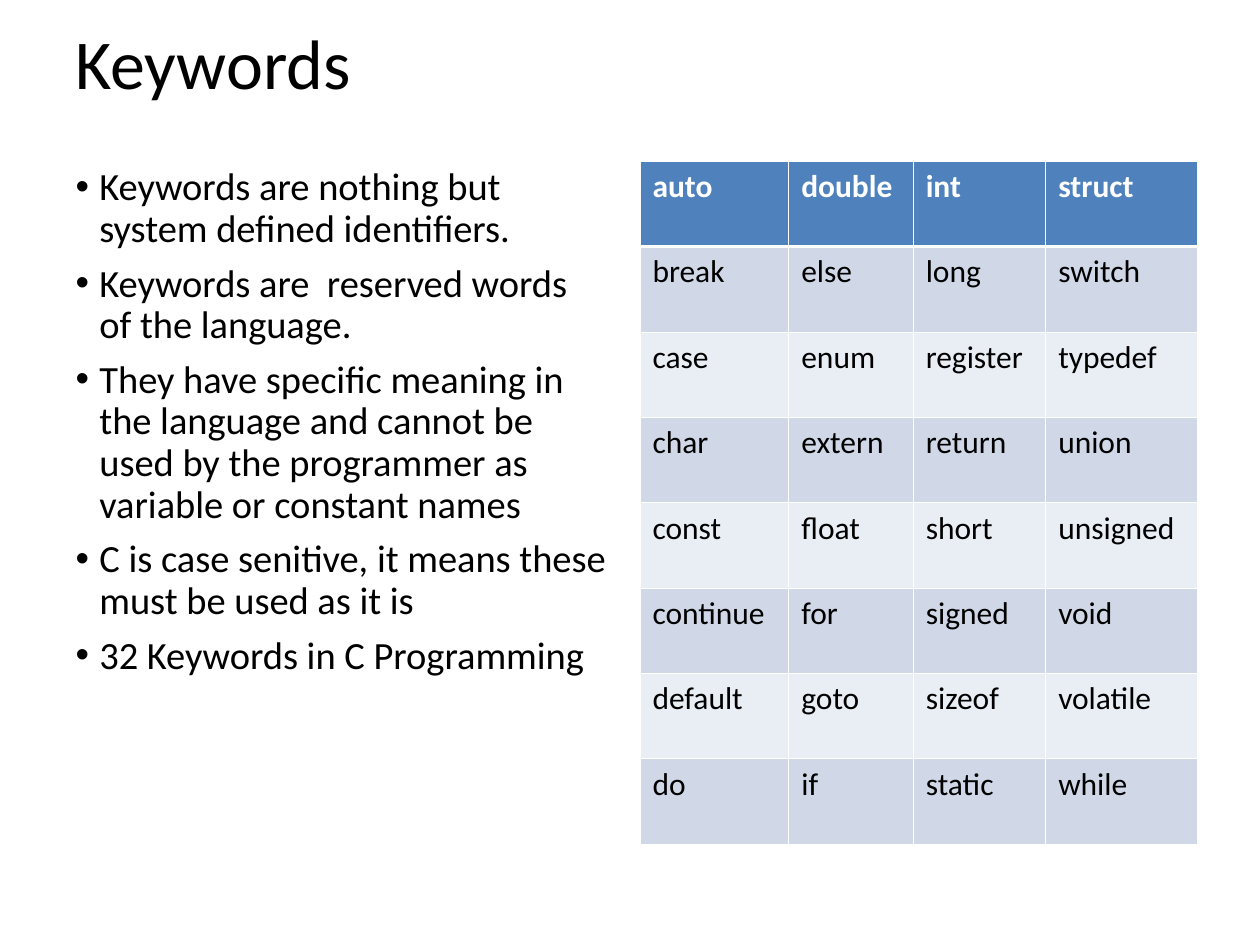
"""Build a slide that explains the reserved keywords of the C language."""
from lxml.etree import SubElement
from pptx import Presentation
from pptx.dml.color import RGBColor
from pptx.enum.text import MSO_ANCHOR as Anchor, MSO_AUTO_SIZE as AutoSize, PP_ALIGN as Align
from pptx.oxml.ns import qn
from pptx.util import Cm, Pt

BLACK = RGBColor(0x00, 0x00, 0x00)
WHITE = RGBColor(0xFF, 0xFF, 0xFF)
HEADER_BLUE = RGBColor(0x4F, 0x81, 0xBD)
BAND_DARK = RGBColor(0xD0, 0xD8, 0xE8)
BAND_LIGHT = RGBColor(0xE9, 0xED, 0xF4)

TOP, HEIGHT = Cm(3.25), Cm(13.77)
THIN, THICK = Pt(0.45), Pt(1.47)

FACTS = [
    "Keywords are nothing but system defined identifiers.",
    "Keywords are  reserved words of the language.",
    "They have specific meaning in the language and cannot be used "
    "by the programmer as variable or constant names",
    "C is case senitive, it means these must be used as it is",
    "32 Keywords in C Programming",
]
KEYWORDS = [
    ["auto", "double", "int", "struct"],
    ["break", "else", "long", "switch"],
    ["case", "enum", "register", "typedef"],
    ["char", "extern", "return", "union"],
    ["const", "float", "short", "unsigned"],
    ["continue", "for", "signed", "void"],
    ["default", "goto", "sizeof", "volatile"],
    ["do", "if", "static", "while"],
]


class KeywordSlide:
    """Hold the style and the current slide."""

    font_name = "Calibri"

    def __init__(self, deck):
        self.slide = deck.slides.add_slide(deck.slide_layouts[1])

    def style(self, paragraph, size, color=BLACK, bold=False):
        font = paragraph.font
        font.name, font.size, font.bold = self.font_name, Pt(size), bold
        font.color.rgb = color

    def place(self, placeholder, left, top, width, height):
        placeholder.left, placeholder.top = left, top
        placeholder.width, placeholder.height = width, height
        frame = placeholder.text_frame
        frame.auto_size = AutoSize.NONE
        return frame

    def title(self, text):
        frame = self.place(self.slide.shapes.title, Cm(1.27), Cm(0.53), Cm(22.86), Cm(1.63))
        frame.vertical_anchor = Anchor.MIDDLE
        frame.text = text
        heading = frame.paragraphs[0]
        heading.alignment, heading.line_spacing = Align.LEFT, 0.9
        self.style(heading, 40)

    def bullets(self, items):
        frame = self.place(self.slide.placeholders[1], Cm(1.27), TOP, Cm(11.23), HEIGHT)
        frame.text = "\n".join(items)
        for index, item in enumerate(frame.paragraphs):
            properties = item._p.get_or_add_pPr()
            properties.set("marL", str(Cm(0.48)))
            properties.set("indent", str(-Cm(0.48)))
            item.line_spacing = 0.9
            item.space_before = Pt(7.5 if index else 0)
            self.style(item, 22)

    def border(self, cell, side, width):
        line = SubElement(cell._tc.get_or_add_tcPr(), qn(f"a:ln{side}"), w=str(width))
        SubElement(SubElement(line, qn("a:solidFill")), qn("a:srgbClr"), val=str(WHITE))

    def table(self, rows, widths):
        table = self.slide.shapes.add_table(
            len(rows), len(widths), Cm(12.9), TOP, sum(widths), HEIGHT).table
        for column, width in zip(table.columns, widths):
            column.width = width
        for row_index, words in enumerate(rows):
            header = row_index == 0
            band = BAND_DARK if row_index % 2 else BAND_LIGHT
            for column_index, word in enumerate(words):
                cell = table.cell(row_index, column_index)
                self.border(cell, "L", THIN)
                self.border(cell, "R", THIN)
                self.border(cell, "T", THICK if row_index == 1 else THIN)
                self.border(cell, "B", THICK if header else THIN)
                cell.fill.solid()
                cell.fill.fore_color.rgb = HEADER_BLUE if header else band
                cell.text = word
                self.style(cell.text_frame.paragraphs[0], 18,
                           WHITE if header else BLACK, header)


def main():
    deck = Presentation()
    deck.slide_width, deck.slide_height = Cm(25.4), Cm(19.05)
    page = KeywordSlide(deck)
    page.title("Keywords")
    page.bullets(FACTS)
    page.table(KEYWORDS, [Cm(3), Cm(2.51), Cm(2.67), Cm(3.05)])
    deck.save("out.pptx")


if __name__ == "__main__":
    main()
